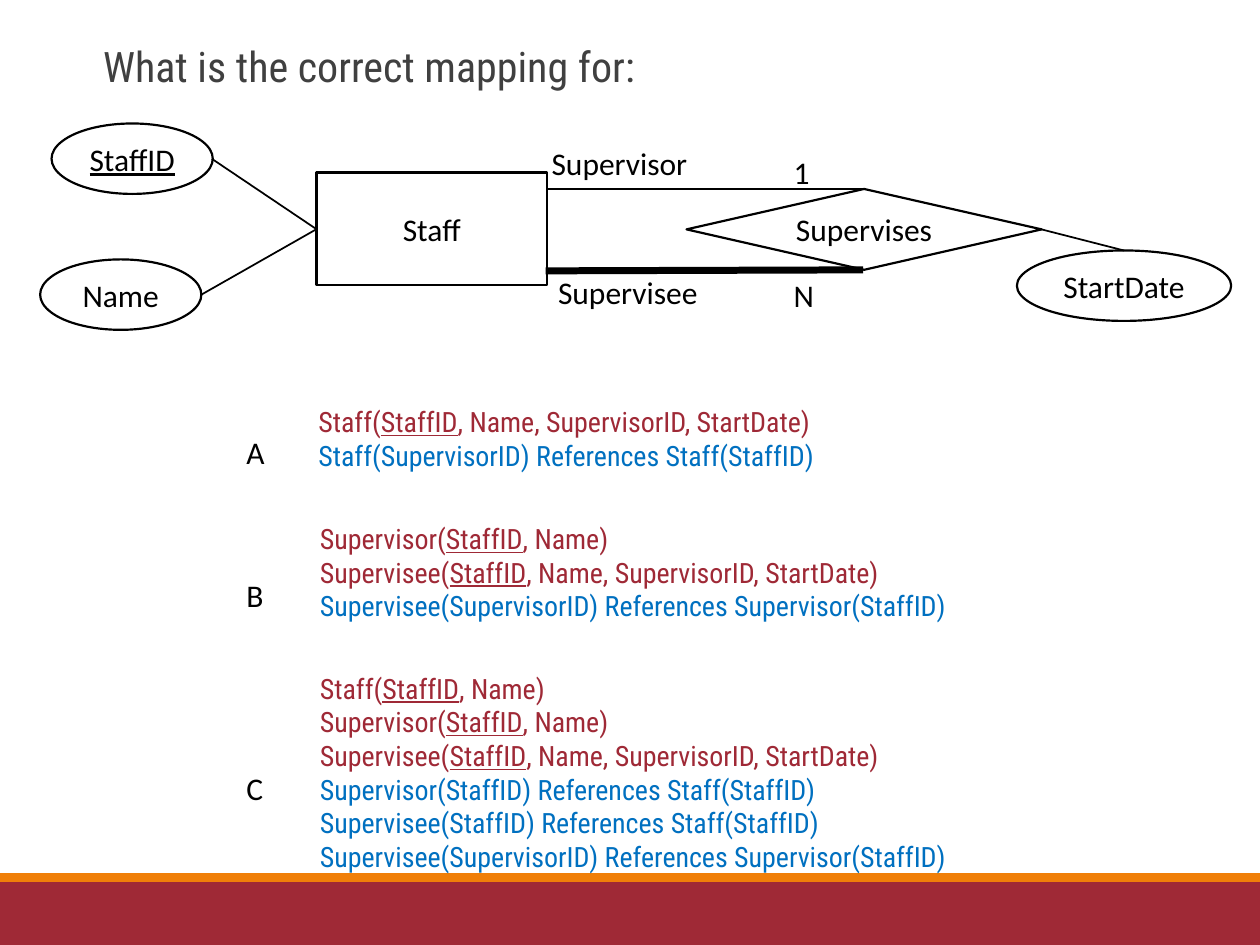
"""Build a quiz slide on mapping a recursive relationship to relations."""
from lxml.etree import SubElement
from pptx import Presentation
from pptx.dml.color import RGBColor as RGB
from pptx.enum.shapes import MSO_CONNECTOR as Link, MSO_SHAPE as Form
from pptx.enum.text import MSO_ANCHOR as Anchor, MSO_AUTO_SIZE as Auto, PP_ALIGN as Align
from pptx.oxml.ns import qn
from pptx.util import Cm, Pt

BLACK = RGB(0x00, 0x00, 0x00)
WHITE = RGB(0xFF, 0xFF, 0xFF)
RED = RGB(0x9F, 0x29, 0x36)
ORANGE = RGB(0xF0, 0x7F, 0x09)
BLUE = RGB(0x00, 0x70, 0xC0)
GRAY = RGB(0x40, 0x40, 0x40)

LABEL = {"name": "Calibri", "size": Pt(18)}
RULE = {"name": "Roboto Condensed", "size": Pt(16)}
HEAD = {"name": "Roboto Condensed", "size": Pt(24)}


def write(para, text, color, style, under=False):
    run = para.add_run()
    run.text = text
    for key, value in {**style, "underline": under}.items():
        setattr(run.font, key, value)
    run.font.color.rgb = color


def add_box(x, y, w, h, auto=Auto.SHAPE_TO_FIT_TEXT):
    frame = slide.shapes.add_textbox(Cm(x), Cm(y), Cm(w), Cm(h)).text_frame
    frame.word_wrap = True
    frame.auto_size = auto
    return frame


deck = Presentation()
deck.slide_width, deck.slide_height = Cm(25.4), Cm(19.05)
slide = deck.slides.add_slide(deck.slide_layouts[6])

for y, h, color in [(17.78, 1.27, RED), (17.6, 0.18, ORANGE)]:
    bar = slide.shapes.add_shape(Form.RECTANGLE, 0, Cm(y), deck.slide_width, Cm(h))
    bar.shadow.inherit = False
    bar.fill.solid()
    bar.fill.fore_color.rgb = color
    bar.line.fill.background()

nodes = [
    ("Staff", Form.RECTANGLE, 6.38, 3.48, 4.65, 2.26),
    ("Supervises", Form.DIAMOND, 13.84, 3.81, 7.16, 1.63),
    ("StaffID", Form.OVAL, 1.04, 2.49, 3.25, 1.42),
    ("Name", Form.OVAL, 0.81, 5.23, 3.25, 1.42),
    ("StartDate", Form.OVAL, 20.5, 5.05, 4.32, 1.42),
]
for text, form, x, y, w, h in nodes:
    node = slide.shapes.add_shape(form, Cm(x), Cm(y), Cm(w), Cm(h))
    node.shadow.inherit = False
    node.fill.solid()
    node.fill.fore_color.rgb = WHITE
    node.line.color.rgb = BLACK
    node.line.width = Pt(1.25)
    node.text_frame.vertical_anchor = Anchor.MIDDLE
    para = node.text_frame.paragraphs[0]
    para.alignment = Align.CENTER
    write(para, text, BLACK, LABEL, text == "StaffID")

links = [
    (11.05, 3.81, 17.4, 3.81, 1),
    (4.27, 3.2, 6.38, 4.62, 1),
    (4.06, 5.94, 6.38, 4.62, 1),
    (11, 5.46, 17.4, 5.44, 4),
    (20.98, 4.62, 22.66, 5.05, 1),
]
for *ends, width in links:
    link = slide.shapes.add_connector(Link.STRAIGHT, *map(Cm, ends))
    link.line.color.rgb = BLACK
    link.line.width = Pt(width)
    SubElement(link._element.spPr, qn("a:effectLst"))

labels = [
    ("Supervisor", 10.87, 2.77, 3.61),
    ("Supervisee", 11, 5.38, 3.61),
    ("N", 15.75, 5.44, 0.91),
    ("1", 15.75, 2.97, 0.91),
    ("A", 4.72, 8.61, 0.69),
    ("B", 4.72, 11.48, 0.69),
    ("C", 4.72, 15.37, 0.69),
]
for text, x, y, w in labels:
    write(add_box(x, y, w, 1.02).paragraphs[0], text, BLACK, LABEL)

choices = [
    (6.17, 8.03, 1.63, [
        "Staff(StaffID, Name, SupervisorID, StartDate)",
        "Staff(SupervisorID) References Staff(StaffID)",
    ]),
    (6.2, 10.39, 2.31, [
        "Supervisor(StaffID, Name)",
        "Supervisee(StaffID, Name, SupervisorID, StartDate)",
        "Supervisee(SupervisorID) References Supervisor(StaffID)",
    ]),
    (6.2, 13.41, 4.37, [
        "Staff(StaffID, Name)",
        "Supervisor(StaffID, Name)",
        "Supervisee(StaffID, Name, SupervisorID, StartDate)",
        "Supervisor(StaffID) References Staff(StaffID)",
        "Supervisee(StaffID) References Staff(StaffID)",
        "Supervisee(SupervisorID) References Supervisor(StaffID)",
    ]),
]
for x, y, h, rows in choices:
    frame = add_box(x, y, 16, h)
    for i, row in enumerate(rows):
        para = frame.add_paragraph() if i else frame.paragraphs[0]
        if "References" in row:
            write(para, row, BLUE, RULE)
        else:
            for part in row.partition("StaffID"):
                write(para, part, RED, RULE, part == "StaffID")

title = add_box(1.57, 0.81, 20.96, 1.32, Auto.NONE)
title.margin_left = Cm(0.51)
title.paragraphs[0].line_spacing = 0.9
write(title.paragraphs[0], "What is the correct mapping for:", GRAY, HEAD)

deck.save("out.pptx")
